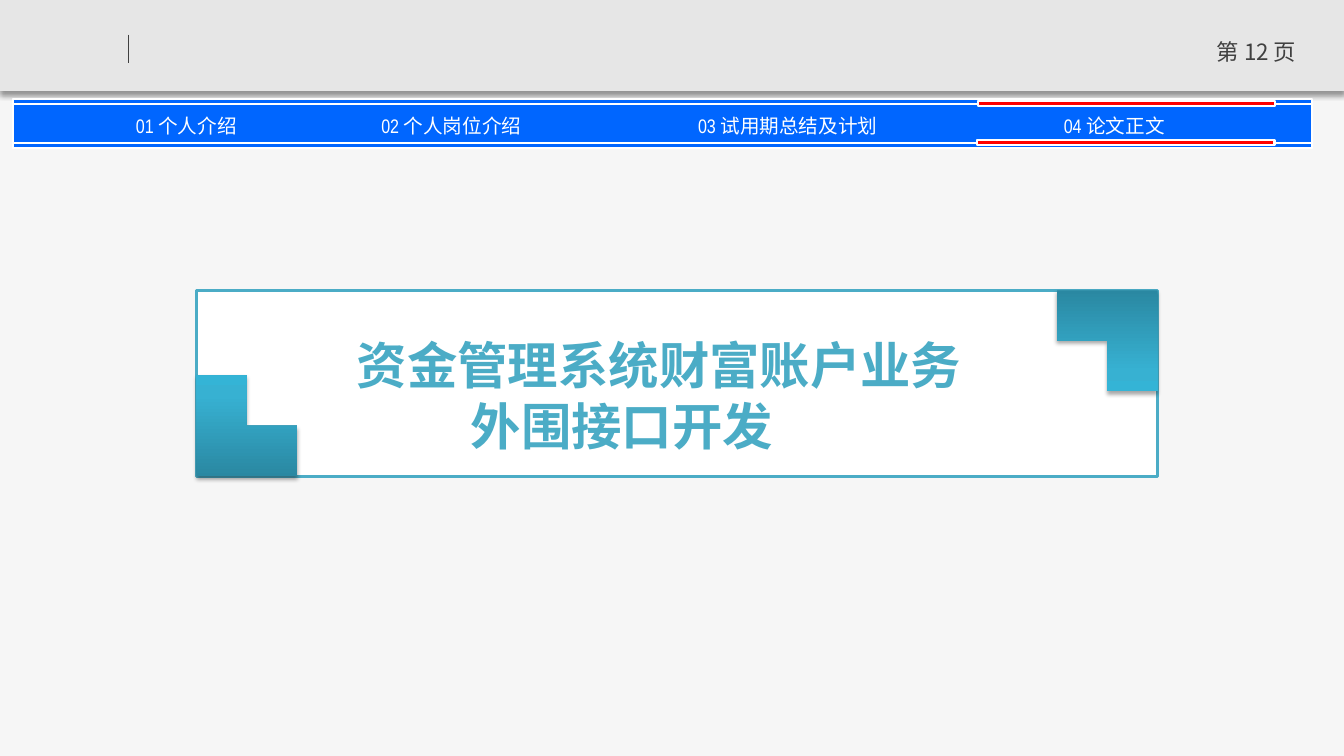
from collections import namedtuple
from copy import deepcopy

from lxml import etree
from pptx import Presentation
from pptx.dml.color import RGBColor
from pptx.enum.shapes import MSO_CONNECTOR, MSO_SHAPE
from pptx.enum.text import MSO_ANCHOR, MSO_AUTO_SIZE, PP_ALIGN
from pptx.oxml import parse_xml
from pptx.oxml.ns import nsdecls, qn
from pptx.util import Cm, Pt

COLORS = {
    "background": "F6F6F6", "header": "E6E6E6", "ink": "404040",
    "nav": "0066FF", "white": "FFFFFF", "active": "FF0000",
    "teal": "4BACC6", "shadow": "000000",
    "corner dark": "2A88A2", "corner mid": "37B1D2", "corner light": "34B4D6",
}
CORNER_STOPS = [(0, "corner dark"), (0.8, "corner mid"), (1, "corner light")]
CJK_FONT, NAV_FONT = "Noto Sans CJK SC", "Arial Narrow"
NAV_ITEMS = [  # left edge within the bar, number, label
    (1.22, "01", "个人介绍"),
    (7.9, "02", "个人岗位介绍"),
    (16.38, "03", "试用期总结及计划"),
    (24.61, "04", "论文正文"),
]
Box = namedtuple("Box", "left top width height")


def color(name):
    return RGBColor.from_string(COLORS[name])


def lengths(box):
    return [Cm(value) for value in box]


def add_block(page, box, fill=None, line=None, line_width=1.5, kind=MSO_SHAPE.RECTANGLE):
    shape = page.shapes.add_shape(kind, *lengths(box))
    shape.shadow.inherit = False
    if fill:
        shape.fill.solid()
        shape.fill.fore_color.rgb = color(fill)
    if line:
        shape.line.color.rgb = color(line)
        shape.line.width = Pt(line_width)
    else:
        shape.line.fill.background()
    return shape


def add_shadow(shape, blur, distance, opacity):
    """Cast a soft shadow straight down; blur and distance are points."""
    effects = shape._element.spPr.find(qn("a:effectLst"))
    effects.append(parse_xml(
        f'<a:outerShdw {nsdecls("a")} blurRad="{Pt(blur)}" dist="{Pt(distance)}" '
        f'dir="5400000" algn="t" rotWithShape="0"><a:srgbClr val="{COLORS["shadow"]}">'
        f'<a:alpha val="{opacity * 1000}"/></a:srgbClr></a:outerShdw>'))


def add_run(para, text, size, font, ink, bold=False):
    span = para.add_run()
    span.text = text
    span.font.size = Pt(size)
    span.font.name = font
    span.font.bold = bold
    span.font.color.rgb = color(ink)
    east_asian = etree.SubElement(span.font._element, qn("a:ea"))
    east_asian.set("typeface", CJK_FONT)


def add_label(page, box, spans, size, ink, margin=0):
    """Add one centred line made of (text, font) spans."""
    frame = page.shapes.add_textbox(*lengths(box)).text_frame
    frame.word_wrap = True
    frame.vertical_anchor = MSO_ANCHOR.MIDDLE
    frame.margin_left = frame.margin_right = Cm(margin)
    frame.margin_top = frame.margin_bottom = 0
    para = frame.paragraphs[0]
    para.alignment = PP_ALIGN.CENTER
    for text, font in spans:
        add_run(para, text, size, font, ink)


def add_header(page, box):
    add_shadow(add_block(page, box, "header"), 4, 3, 40)
    left, top = box.left + 3.23, box.top + 0.87
    divider = page.shapes.add_connector(
        MSO_CONNECTOR.STRAIGHT, *lengths((left, top, left, top + 0.73)))
    divider.line.color.rgb = color("ink")
    divider.line.width = Pt(0.75)
    etree.SubElement(divider._element.spPr, qn("a:effectLst"))
    number_box = Box(box.left + box.width - 3.73, box.top + 0.8, 3.05, 1.02)
    add_label(page, number_box, [("第 12 页", CJK_FONT)], 16, "ink", 0.25)


def add_navigation(page, box):
    strip = 0.13
    bottom = box.top + box.height - strip
    for part in (box._replace(top=box.top + strip, height=box.height - strip),
                 box._replace(top=bottom, height=strip),
                 box._replace(height=strip)):
        add_block(page, part, "nav", "white")
    for left, number, label in NAV_ITEMS:
        add_label(page, Box(box.left + left, box.top + 0.36, 6.3, 0.61),
                  [(f"{number} ", NAV_FONT), (label, CJK_FONT)], 14, "white")
    for left, top in ((24.33, 0.05), (24.31, 1.04)):
        add_block(page, Box(box.left + left, box.top + top, 7.49, strip), "active", "white")


def add_corner(page, box, rotation):
    corner = add_block(page, box, kind=MSO_SHAPE.CORNER)
    corner.rotation = rotation
    corner.fill.gradient()
    corner.fill.gradient_angle = 90
    stop_list = corner._element.spPr.find(".//" + qn("a:gsLst"))
    stop_list.append(deepcopy(stop_list[-1]))
    for stop, (position, name) in zip(corner.fill.gradient_stops, CORNER_STOPS):
        stop.position = position
        stop.color.rgb = color(name)
    add_shadow(corner, 3.1, 1.8, 35)


def add_title_card(page, box):
    add_block(page, box, "white", "teal", 2)
    size = 2.54
    add_corner(page, Box(box.left, box.top + box.height - size, size, size), 0)
    add_corner(page, Box(box.left + box.width - size, box.top, size, size), 180)

    title = page.shapes.title
    page.shapes._spTree.append(title._element)
    title.left, title.top, title.width, title.height = lengths(
        (box.left + 3.79, box.top + 0.95, 18.42, 3.33))
    frame = title.text_frame
    frame.word_wrap = True
    frame.auto_size = MSO_AUTO_SIZE.NONE
    frame.vertical_anchor = MSO_ANCHOR.TOP
    lines = [("资金管理系统财富账户业务", 0), ("外围接口开发", 2.87)]
    for index, (text, indent) in enumerate(lines):
        para = frame.add_paragraph() if index else frame.paragraphs[0]
        para.alignment = PP_ALIGN.LEFT
        para.line_spacing = Pt(43.6)
        para.space_before = Pt(0)
        properties = para._p.get_or_add_pPr()
        properties.set("marL", str(Cm(indent)))
        properties.set("indent", "0")
        add_run(para, text, 36, CJK_FONT, "teal", bold=True)


def main():
    deck = Presentation()
    deck.slide_width, deck.slide_height = Cm(33.88), Cm(19.05)
    page = deck.slides.add_slide(deck.slide_layouts[5])
    page.background.fill.solid()
    page.background.fill.fore_color.rgb = color("background")
    add_header(page, Box(0, 0, 33.88, 2.29))
    add_navigation(page, Box(0.33, 2.49, 32.74, 1.24))
    add_title_card(page, Box(4.95, 7.32, 24.23, 4.68))
    deck.save("out.pptx")


if __name__ == "__main__":
    main()
